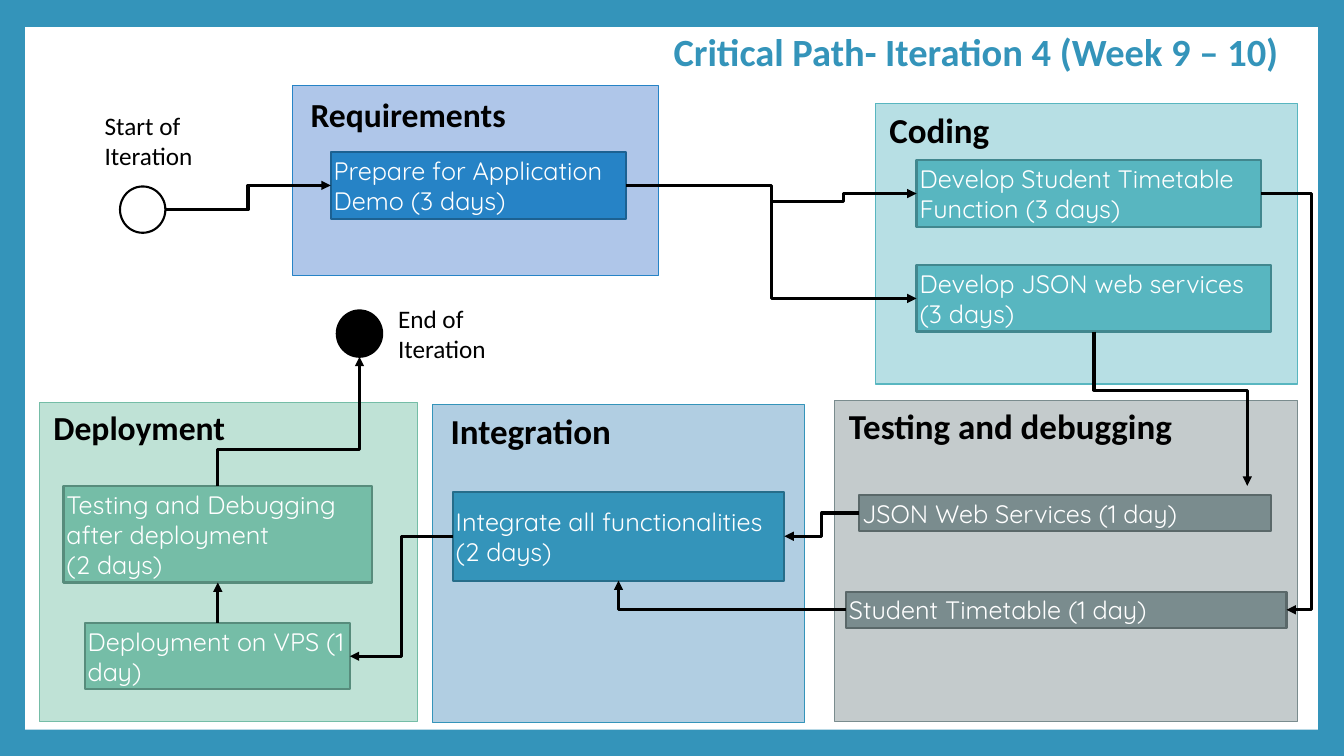
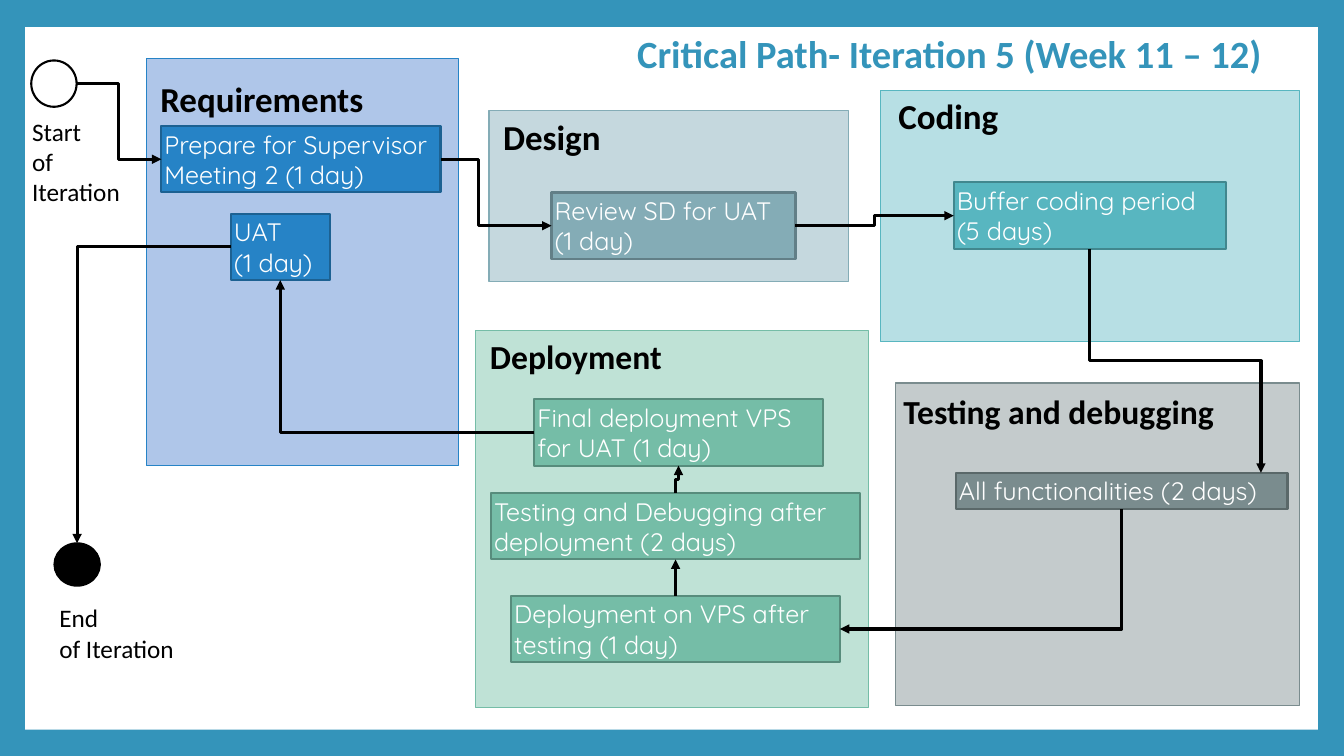
from dataclasses import dataclass, field
from lxml.etree import SubElement
from pptx import Presentation
from pptx.dml.color import RGBColor
from pptx.enum.shapes import MSO_CONNECTOR as Route, MSO_SHAPE as Preset
from pptx.enum.text import MSO_ANCHOR as Anchor, PP_ALIGN as Align
from pptx.oxml.ns import qn
from pptx.util import Inches, Pt

# The grid has square cells; all lengths below count its columns and rows.
COLUMNS, ROWS = 13.33, 7.5
WIDTH, HEIGHT = Inches(COLUMNS), Inches(ROWS)

COLORS = {"brand": "3494BA", "white": "FFFFFF", "black": "000000"}
# Each phase: panel fill, accent, task edge
PHASES = {
    "Requirements": ("AFC6E9", "2683C6", "1C6192"),
    "Design": ("C5D8DE", "84ACB6", "627F87"),
    "Coding": ("B7DFE4", "58B6C0", "41878E"),
    "Testing and debugging": ("C4CBCC", "7A8C8E", "5A6869"),
    "Integration": ("B1CEE2", "3494BA", "266D8A"),
    "Deployment": ("BFE2D6", "75BDA7", "578C7C"),
}
BODY, TASK_FONT = "Calibri", "Quicksand"
ONE_LINE, TWO_LINES = 0.36, 0.66


@dataclass(frozen=True)
class Frame:
    """A rectangle on the grid."""
    left: float
    top: float
    width: float = 0
    height: float = 0

    def port(self, side: str, along: float = 0.5) -> tuple[float, float]:
        """Return the point at a share of the way along one side."""
        if side in ("left", "right"):
            x = self.left + (self.width if side == "right" else 0)
            return x, self.top + along * self.height
        y = self.top + (self.height if side == "bottom" else 0)
        return self.left + along * self.width, y


@dataclass(frozen=True)
class Task:
    """A piece of work within a phase."""
    key: str
    text: str
    frame: Frame


@dataclass(frozen=True)
class Phase:
    """A panel with a heading and its tasks."""
    title: str
    frame: Frame
    tasks: list[Task]
    indent: float = 0.11
    drop: float = 0.01
    size: float = 25


@dataclass(frozen=True)
class Marker:
    """The circle that starts or ends the iteration, with its label."""
    key: str
    fill: str
    frame: Frame
    text: str
    label: Frame


@dataclass(frozen=True)
class Link:
    """An arrow from a side of one place to a side of another."""
    source: str
    exit: str
    target: str
    entry: str
    bend: float = 0.5
    along: float = 0.5


@dataclass(frozen=True)
class Plan:
    """One critical-path slide."""
    title: str
    title_frame: Frame
    phases: list[Phase]
    markers: list[Marker]
    links: list[Link]
    forks: dict[str, Frame] = field(default_factory=dict)


PLANS = [
    Plan(
        "Critical Path- Iteration 4 (Week 9 – 10)", Frame(6.68, 0.28, 6.19, 0.46),
        [
            Phase("Testing and debugging", Frame(8.28, 3.97, 4.59, 3.19), [
                Task("json test", "JSON Web Services (1 day)", Frame(8.52, 4.91, 4.09, ONE_LINE)),
                Task("student test", "Student Timetable (1 day)", Frame(8.39, 5.87, 4.37, ONE_LINE)),
            ]),
            Phase("Coding", Frame(8.68, 1.03, 4.19, 2.78), [
                Task("json", "Develop JSON web services\n(3 days)", Frame(9.09, 2.63, 3.52, TWO_LINES)),
                Task("student", "Develop Student Timetable Function (3 days)",
                     Frame(9.09, 1.59, 3.42, TWO_LINES)),
            ]),
            Phase("Requirements", Frame(2.9, 0.85, 3.63, 1.88), [
                Task("prepare", "Prepare for Application Demo (3 days)",
                     Frame(3.28, 1.51, 2.93, TWO_LINES)),
            ], indent=0.15, drop=0.04, size=24),
            Phase("Integration", Frame(4.29, 4.01, 3.69, 3.16), [
                Task("integrate", "Integrate all functionalities (2 days)",
                     Frame(4.49, 4.88, 3.29, 0.88)),
            ], indent=0.15, drop=0.02),
            Phase("Deployment", Frame(0.39, 3.99, 3.75, 3.17), [
                Task("deploy", "Deployment on VPS (1 day)", Frame(0.84, 6.18, 2.63, TWO_LINES)),
                Task("retest", "Testing and Debugging after deployment\n(2 days)",
                     Frame(0.63, 4.82, 3.06, 0.96)),
            ], size=24),
        ],
        [
            Marker("start", "white", Frame(1.19, 1.85, 0.45, 0.46),
                   "Start of Iteration", Frame(0.94, 1.04, 1.13, 0.71)),
            Marker("end", "black", Frame(3.34, 3.08, 0.45, 0.46),
                   "End of Iteration", Frame(3.85, 2.96, 1.13, 0.71)),
        ],
        [
            Link("start", "right", "prepare", "left"),
            Link("prepare", "right", "json", "left"),
            Link("fork", "right", "student", "left"),
            Link("student", "right", "student test", "right", bend=2),
            Link("json", "bottom", "above json test", "top", bend=0.38),
            Link("student test", "left", "integrate", "bottom"),
            Link("json test", "left", "integrate", "right"),
            Link("integrate", "left", "deploy", "right"),
            Link("deploy", "top", "retest", "bottom"),
            Link("retest", "top", "end", "bottom", bend=0.28),
        ],
        {"fork": Frame(7.64, 2), "above json test": Frame(12.37, 4.82)},
    ),
    Plan(
        "Critical Path- Iteration 5 (Week 11 – 12)", Frame(6.32, 0.3, 6.63, 0.46),
        [
            Phase("Requirements", Frame(1.45, 0.58, 3.1, 4.04), [
                Task("prepare", "Prepare for Supervisor Meeting 2 (1 day)",
                     Frame(1.6, 1.25, 2.77, TWO_LINES)),
                Task("uat", "UAT\n(1 day)", Frame(2.29, 2.12, 0.98, TWO_LINES)),
            ], drop=0.16),
            Phase("Design", Frame(4.85, 1.1, 3.57, 1.69), [
                Task("review", "Review SD for UAT\n(1 day)", Frame(5.47, 1.91, 2.42, TWO_LINES)),
            ]),
            Phase("Coding", Frame(8.73, 0.9, 4.16, 2.49), [
                Task("buffer", "Buffer coding period (5 days)", Frame(9.46, 1.81, 2.7, TWO_LINES)),
            ], indent=0.15),
            Phase("Testing and debugging", Frame(8.88, 3.8, 4.01, 3.2), [
                Task("test all", "All functionalities (2 days)", Frame(9.48, 4.69, 3.29, ONE_LINE)),
            ], indent=0.05, drop=0.04, size=24),
            Phase("Deployment", Frame(4.72, 3.28, 3.89, 3.74), [
                Task("final", "Final deployment VPS for UAT (1 day)",
                     Frame(5.3, 3.96, 2.86, TWO_LINES)),
                Task("deploy", "Deployment on VPS after testing (1 day)",
                     Frame(5.07, 5.91, 3.26, TWO_LINES)),
                Task("retest", "Testing and Debugging after deployment (2 days)",
                     Frame(4.87, 4.89, 3.66, TWO_LINES)),
            ], size=24),
        ],
        [
            Marker("start", "white", Frame(0.31, 0.6, 0.45, 0.46),
                   "Start\nof\nIteration", Frame(0.22, 1.1, 1.26, 1.01)),
            Marker("end", "black", Frame(0.54, 5.39, 0.45, 0.42),
                   "End\nof Iteration", Frame(0.49, 5.93, 1.38, 0.71)),
        ],
        [
            Link("start", "right", "prepare", "left"),
            Link("prepare", "right", "review", "left", bend=0.34),
            Link("review", "right", "buffer", "left"),
            Link("buffer", "bottom", "test all", "top", along=0.92),
            Link("test all", "bottom", "deploy", "right"),
            Link("deploy", "top", "retest", "bottom"),
            Link("retest", "top", "final", "bottom"),
            Link("final", "left", "uat", "bottom"),
            Link("uat", "left", "end", "top"),
        ],
    ),
]


def rgb(value: str) -> RGBColor:
    """Turn a colour name or hex string into a colour."""
    return RGBColor.from_string(COLORS.get(value, value))


def place(x: float, y: float) -> tuple[int, int]:
    """Turn columns and rows into slide lengths."""
    return round(x * WIDTH / COLUMNS), round(y * HEIGHT / ROWS)


def bounds(frame: Frame) -> tuple[int, ...]:
    """Return left, top, width and height on the slide."""
    return place(frame.left, frame.top) + place(frame.width, frame.height)


def write(host, text: str, *, size: float, font: str = BODY, color: str = "black",
          bold: bool = False, anchor=Anchor.MIDDLE, inset: tuple[float, float] = (0.03, 0.03)):
    """Fill a shape or text box with formatted paragraphs."""
    words = host.text_frame
    words.text, words.word_wrap, words.vertical_anchor = text, True, anchor
    across, down = place(*inset)
    words.margin_left = words.margin_right = across
    words.margin_top = words.margin_bottom = down
    for line in words.paragraphs:
        line.alignment = Align.LEFT
        for run in line.runs:
            run.font.name, run.font.size, run.font.bold = font, Pt(size), bold
            run.font.color.rgb = rgb(color)


def draw(slide, frame: Frame, fill: str, edge: str = "", weight: float = 1.5,
         preset=Preset.RECTANGLE):
    """Draw a flat preset shape, outlined if an edge colour is given."""
    body = slide.shapes.add_shape(preset, *bounds(frame))
    body.shadow.inherit = False
    body.fill.solid()
    body.fill.fore_color.rgb = rgb(fill)
    if edge:
        body.line.color.rgb, body.line.width = rgb(edge), Pt(weight)
    else:
        body.line.fill.background()
    return body


def draw_phase(slide, phase: Phase):
    """Draw a phase panel, its heading and its tasks."""
    panel, accent, edge = PHASES[phase.title]
    area = phase.frame
    draw(slide, area, panel, accent, 0.79)
    heading = Frame(area.left + phase.indent, area.top + phase.drop, area.width - phase.indent, 0.48)
    write(slide.shapes.add_textbox(*bounds(heading)), phase.title, size=phase.size, bold=True)
    for task in phase.tasks:
        write(draw(slide, task.frame, accent, edge), task.text,
              size=18, font=TASK_FONT, color="white")


def draw_marker(slide, marker: Marker):
    """Draw a start or end circle with its label."""
    draw(slide, marker.frame, marker.fill, "black", preset=Preset.OVAL)
    write(slide.shapes.add_textbox(*bounds(marker.label)), marker.text,
          size=18, anchor=Anchor.TOP, inset=(0.1, 0.05))


def draw_link(slide, link: Link, places: dict[str, Frame]):
    """Draw an elbow arrow whose turns follow from the sides it joins."""
    x1, y1 = places[link.source].port(link.exit)
    x2, y2 = places[link.target].port(link.entry, link.along)
    upright = {"top", "bottom"}
    turn = 0
    if link.exit in upright:
        # A path leaving vertically is a horizontal one turned about its centre.
        run, rise = x2 - x1, y2 - y1
        sign, turn = (-1, 270) if run > 0 and rise > 0 else (1, 90)
        middle_x, middle_y = (x1 + x2) / 2, (y1 + y2) / 2
        half_x, half_y = sign * rise / 2, -sign * run / 2
        x1, x2 = middle_x - half_x, middle_x + half_x
        y1, y2 = middle_y - half_y, middle_y + half_y
    arrow = slide.shapes.add_connector(Route.ELBOW, *place(x1, y1), *place(x2, y2))
    arrow.line.color.rgb, arrow.line.width = rgb("black"), Pt(2.25)
    props = arrow.element.spPr
    if turn:
        props.find(qn("a:xfrm")).set("rot", str(turn * 60000))
    outline = props.find(qn("a:prstGeom"))
    if (link.exit in upright) != (link.entry in upright):
        outline.set("prst", "bentConnector2")
    else:
        SubElement(outline.find(qn("a:avLst")), qn("a:gd"),
                   name="adj1", fmla=f"val {round(link.bend * 100000)}")
    SubElement(props.find(qn("a:ln")), qn("a:tailEnd"), type="triangle")
    SubElement(props, qn("a:effectLst"))


def draw_plan(slide, plan: Plan):
    """Draw a whole critical path."""
    for phase in plan.phases:
        draw_phase(slide, phase)
    for marker in plan.markers:
        draw_marker(slide, marker)
    write(slide.shapes.add_textbox(*bounds(plan.title_frame)), plan.title,
          size=27.5, color="brand", bold=True, inset=(0, 0))
    places = {item.key: item.frame for phase in plan.phases for item in phase.tasks}
    places |= {marker.key: marker.frame for marker in plan.markers} | plan.forks
    for link in plan.links:
        draw_link(slide, link, places)


def share_backdrop(deck, layout, slide):
    """Put the coloured border and the white sheet on the layout."""
    deck.slide_master.background.fill.solid()
    deck.slide_master.background.fill.fore_color.rgb = rgb("brand")
    for holder in list(layout.placeholders):
        layout.shapes.element.remove(holder.element)
    sheet = draw(slide, Frame(0.25, 0.27, 12.82, 6.97), "white")
    layout.shapes.element.append(sheet.element)


deck = Presentation()
deck.slide_width, deck.slide_height = WIDTH, HEIGHT
blank = deck.slide_layouts[6]
slides = [deck.slides.add_slide(blank) for _ in PLANS]
share_backdrop(deck, blank, slides[0])
for slide, plan in zip(slides, PLANS):
    draw_plan(slide, plan)
deck.save("out.pptx")
